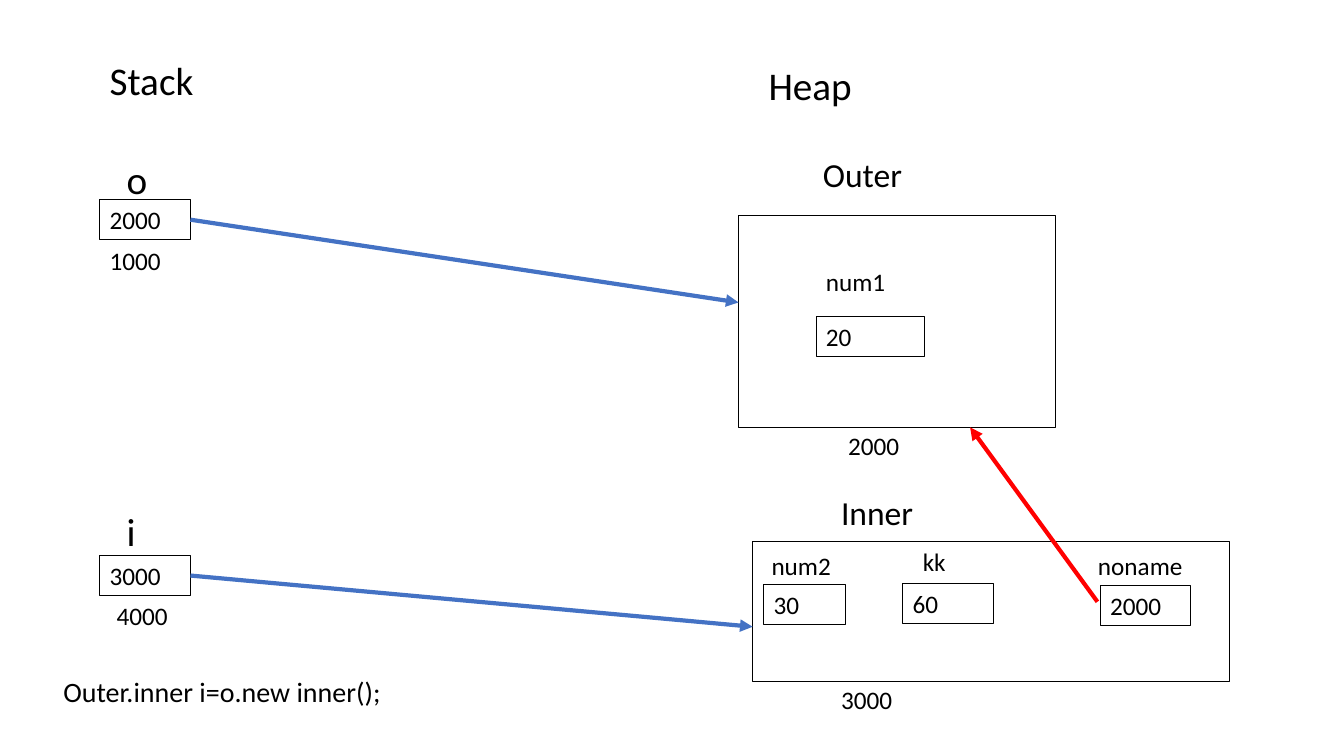
from collections import namedtuple
from dataclasses import dataclass

from lxml import etree
from pptx import Presentation
from pptx.dml.color import RGBColor
from pptx.enum.shapes import MSO_CONNECTOR, MSO_SHAPE
from pptx.enum.text import MSO_ANCHOR, PP_ALIGN
from pptx.oxml.ns import qn
from pptx.util import Inches, Pt

RECT = MSO_SHAPE.RECTANGLE
LINE = MSO_CONNECTOR.STRAIGHT
TOP = MSO_ANCHOR.TOP
LEFT = PP_ALIGN.LEFT

WIDE, HIGH = Inches(13.34), Inches(7.5)
COL, ROW = WIDE / 100, HIGH / 100


@dataclass(frozen=True)
class Theme:
    font: str = "Calibri"
    ink: RGBColor = RGBColor(0, 0, 0)
    link: RGBColor = RGBColor(0x44, 0x72, 0xC4)
    back: RGBColor = RGBColor(0xFF, 0, 0)
    head: int = 28
    title: int = 24
    code: int = 20
    body: int = 18
    edge: float = 0.74
    arrow: float = 3


theme = Theme()
TALL = {theme.head: 7.6, theme.title: 6.67, theme.code: 5.87, theme.body: 5.33}
CELL = TALL[theme.body]

Box = namedtuple("Box", "x y w h")
Field = namedtuple("Field", "name value x y w dx dy wide")


def place(box):
    return round(box.x * COL), round(box.y * ROW), round(box.w * COL), round(box.h * ROW)


def spot(box, across, down):
    return box.x + box.w * across, box.y + box.h * down


def write(shape, text, size):
    frame = shape.text_frame
    frame.text = text
    frame.word_wrap = True
    frame.vertical_anchor = TOP
    line = frame.paragraphs[0]
    line.alignment = LEFT
    font = line.runs[0].font
    font.name, font.size = theme.font, Pt(size)
    font.color.rgb = theme.ink


def label(slide, x, y, wide, text, size=theme.body):
    box = Box(x, y, wide, TALL[size])
    write(slide.shapes.add_textbox(*place(box)), text, size)


def frame(slide, box, text=None):
    shape = slide.shapes.add_shape(RECT, *place(box))
    shape.shadow.inherit = False
    shape.fill.background()
    shape.line.color.rgb = theme.ink
    shape.line.width = Pt(theme.edge)
    if text:
        write(shape, text, theme.body)


def arrow(slide, start, end, color):
    ends = [round(v * unit) for point in (start, end) for v, unit in zip(point, (COL, ROW))]
    link = slide.shapes.add_connector(LINE, *ends)
    link.line.color.rgb = color
    link.line.width = Pt(theme.arrow)
    tip = etree.SubElement(link.line._get_or_add_ln(), qn("a:tailEnd"))
    tip.set("type", "triangle")
    etree.SubElement(link._element.spPr, qn("a:effectLst"))


def stack_var(slide, box, name, value, address, rise, wide, shift, room):
    label(slide, box.x + 1.27, box.y - rise, wide, name, theme.head)
    frame(slide, box, value)
    label(slide, box.x + shift, box.y + box.h, room, address)


def heap_item(slide, box, name, rise, shift, address, inset, room, fields):
    label(slide, box.x + shift, box.y - rise, 8.3, name, theme.title)
    frame(slide, box)
    label(slide, box.x + inset, box.y + box.h - 0.3, room, address)
    for field in fields:
        cell = Box(box.x + field.x, box.y + field.y, field.w, CELL)
        label(slide, cell.x + field.dx, cell.y - field.dy, field.wide, field.name)
        frame(slide, cell, field.value)
    return cell


def memory(slide):
    outer = Box(54.95, 28.53, 23.61, 28)
    inner = Box(56, 71.6, 35.46, 18.53)
    first = Box(7.42, 26.4, 6.75, CELL)
    second = first._replace(y=73.47)

    label(slide, first.x, 6.8, 10.42, "Stack", theme.head)
    label(slide, 56.45, 7.47, 14.24, "Heap", theme.head)
    stack_var(slide, first, "o", "2000", "1000", 6.53, 4.12, 0, 8.55)
    stack_var(slide, second, "i", "3000", "4000", 7.07, 2.92, 0.52, 6.22)

    heap_item(slide, outer, "Outer", 8.8, 5.54, "2000", 7.42, 7.05, [
        Field("num1", "20", 5.77, 13.33, 8.1, 0, 7.33, 9.22),
    ])
    last = heap_item(slide, inner, "Inner", 7.2, 5.84, "3000", 5.84, 11.17, [
        Field("num2", "30", 0.82, 5.73, 6.07, -0.15, 5.2, 7.95),
        Field("kk", "60", 11.17, 5.6, 6.75, 0.75, 5.6, 3.97),
        Field("noname", "2000", 25.86, 5.87, 6.75, -0.9, 5.33, 8.55),
    ])

    for cell, item, down in ((first, outer, 0.41), (second, inner, 0.61)):
        arrow(slide, spot(cell, 1, 0.5), spot(item, 0, down), theme.link)
    arrow(slide, spot(last, -0.03, 0.4), spot(outer, 0.73, 1), theme.back)
    label(slide, 3.97, 88.53, 28.79, "Outer.inner i=o.new inner();", theme.code)


deck = Presentation()
deck.slide_width, deck.slide_height = WIDE, HIGH
memory(deck.slides.add_slide(deck.slide_layouts[6]))
deck.save("out.pptx")
